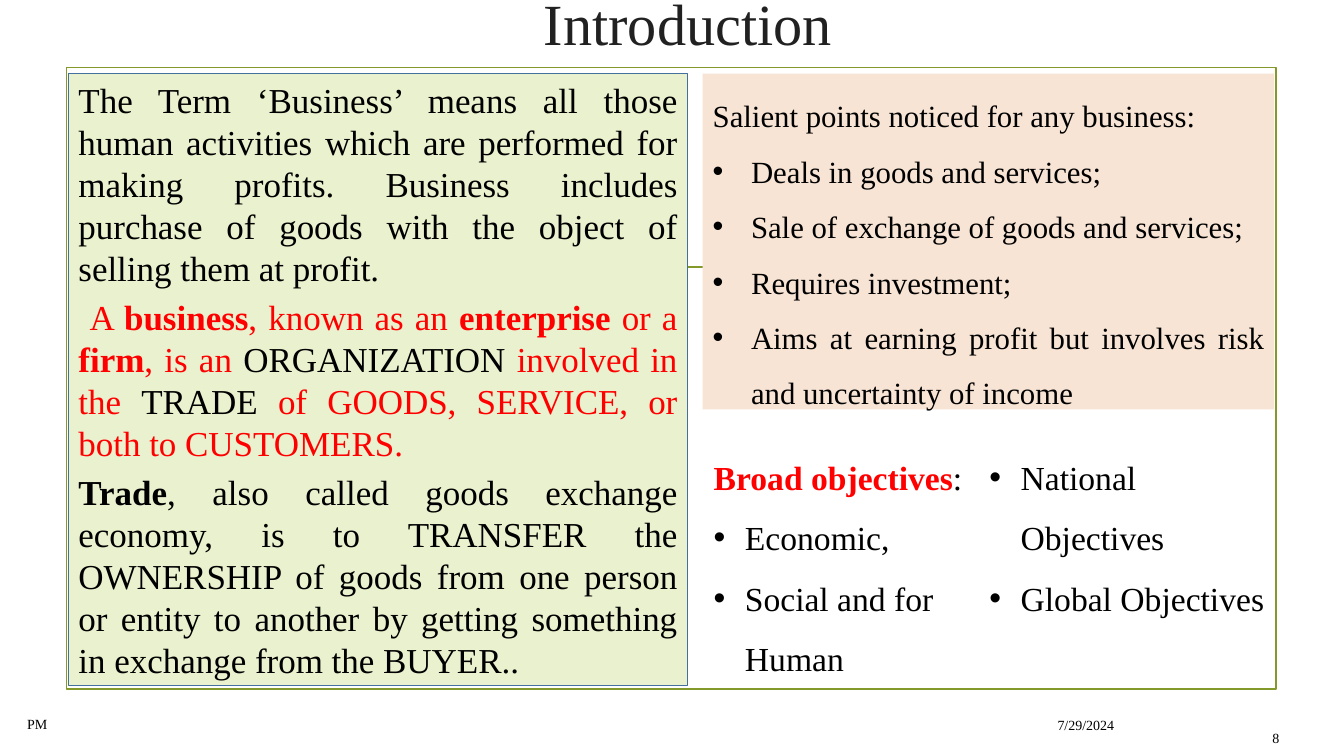
from dataclasses import dataclass

from lxml import etree
from pptx import Presentation
from pptx.dml.color import RGBColor
from pptx.enum.shapes import MSO_CONNECTOR, MSO_SHAPE
from pptx.enum.text import MSO_ANCHOR, MSO_AUTO_SIZE, PP_ALIGN
from pptx.oxml.ns import qn
from pptx.util import Emu, Inches, Pt

RECTANGLE = MSO_SHAPE.RECTANGLE
STRAIGHT = MSO_CONNECTOR.STRAIGHT
LEFT, CENTER, RIGHT, JUSTIFY = PP_ALIGN.LEFT, PP_ALIGN.CENTER, PP_ALIGN.RIGHT, PP_ALIGN.JUSTIFY
TOP, MIDDLE = MSO_ANCHOR.TOP, MSO_ANCHOR.MIDDLE
FIT_SHAPE, NO_FIT = MSO_AUTO_SIZE.SHAPE_TO_FIT_TEXT, MSO_AUTO_SIZE.NONE
WIDTH, HEIGHT = Inches(13.33), Inches(7.5)
TWO_CONTENT_LAYOUT = 3


@dataclass(frozen=True)
class Theme:
    font: str = "Times New Roman"
    black: str = "000000"
    red: str = "FF0000"
    title: str = "212121"
    white: str = "FFFFFF"
    olive: str = "83992A"
    blue: str = "44709D"
    green_panel: str = "EAF1CE"
    peach_panel: str = "F7E4D4"
    title_size: float = 41.6
    definition_size: float = 25
    points_size: float = 22
    objectives_size: float = 24
    footer_size: float = 10


THEME = Theme()


@dataclass(frozen=True)
class Place:
    """Position and size in percent of the slide."""
    left: float
    top: float
    width: float
    height: float

    def box(self) -> tuple[Emu, Emu, Emu, Emu]:
        return (across(self.left), down(self.top), across(self.width), down(self.height))


@dataclass(frozen=True)
class Piece:
    text: str
    color: str = THEME.black
    bold: bool = False


@dataclass(frozen=True)
class BulletList:
    place: Place
    heading: list[Piece]
    items: list[str]
    size: float
    indent: float
    align: PP_ALIGN
    columns: int = 1
    fill: str | None = None


@dataclass(frozen=True)
class FooterItem:
    text: str
    place: Place
    align: PP_ALIGN


def across(percent: float) -> Emu:
    return Emu(round(WIDTH * percent / 100))


def down(percent: float) -> Emu:
    return Emu(round(HEIGHT * percent / 100))


def rgb(color: str) -> RGBColor:
    return RGBColor.from_string(color)


def move(shape, place: Place) -> None:
    shape.left, shape.top, shape.width, shape.height = place.box()


def paint(shape, color: str) -> None:
    shape.fill.solid()
    shape.fill.fore_color.rgb = rgb(color)


def outline(shape, color: str, width: float) -> None:
    shape.line.color.rgb = rgb(color)
    shape.line.width = Pt(width)


def write(paragraph, pieces: list[Piece], size: float, align: PP_ALIGN) -> None:
    paragraph.alignment = align
    for piece in pieces:
        run = paragraph.add_run()
        run.text = piece.text
        run.font.name = THEME.font
        run.font.size = Pt(size)
        run.font.bold = piece.bold
        run.font.color.rgb = rgb(piece.color)


def set_bullet(paragraph, indent: float) -> None:
    """Give a hanging bullet, or none when the indent is zero."""
    properties = paragraph._p.get_or_add_pPr()
    properties.set("marL", str(Inches(indent)))
    properties.set("indent", str(-Inches(indent)))
    if indent:
        etree.SubElement(properties, qn("a:buFont"), typeface="Arial")
        etree.SubElement(properties, qn("a:buChar"), char="•")
    else:
        etree.SubElement(properties, qn("a:buNone"))


def add_paragraphs(text_frame, count: int) -> list:
    return [text_frame.paragraphs[0]] + [text_frame.add_paragraph() for _ in range(count - 1)]


def draw_frame(slide) -> None:
    frame = slide.shapes.add_shape(RECTANGLE, *Place(4.95, 8.93, 90, 82.27).box())
    frame.shadow.inherit = False
    frame.fill.background()
    outline(frame, THEME.olive, 1.25)
    rule = slide.shapes.add_connector(
        STRAIGHT, across(11.48), down(35.33), across(88.58), down(35.33))
    outline(rule, THEME.olive, 1.25)
    etree.SubElement(rule.element.spPr, qn("a:effectLst"))
    # Both stay behind the placeholders
    for shape in (rule, frame):
        slide.shapes.element.insert(2, shape.element)


def fill_title(title, text: str) -> None:
    move(title, Place(30.6, -0.53, 41.18, 9.07))
    paint(title, THEME.white)
    title.text_frame.vertical_anchor = TOP
    title.text_frame.auto_size = NO_FIT
    paragraph = title.text_frame.paragraphs[0]
    paragraph.line_spacing = 0.8
    write(paragraph, [Piece(text, THEME.title)], THEME.title_size, CENTER)


def draw_definitions(slide, texts: list[list[Piece]]) -> None:
    panel = slide.shapes.add_shape(RECTANGLE, *Place(5.1, 9.73, 46.05, 80.93).box())
    panel.shadow.inherit = False
    paint(panel, THEME.green_panel)
    outline(panel, THEME.blue, 0.75)
    panel.text_frame.word_wrap = True
    panel.text_frame.vertical_anchor = TOP
    for number, paragraph in enumerate(add_paragraphs(panel.text_frame, len(texts))):
        paragraph.space_before = Pt(5 if number else 0)
        write(paragraph, texts[number], THEME.definition_size, JUSTIFY)


def fill_list(placeholder, content: BulletList) -> None:
    move(placeholder, content.place)
    if content.fill:
        paint(placeholder, content.fill)
    text_frame = placeholder.text_frame
    text_frame.word_wrap = True
    text_frame.auto_size = FIT_SHAPE
    if content.columns > 1:
        text_frame._txBody.bodyPr.set("numCol", str(content.columns))
    lines = [content.heading] + [[Piece(item)] for item in content.items]
    for number, paragraph in enumerate(add_paragraphs(text_frame, len(lines))):
        set_bullet(paragraph, content.indent if number else 0)
        paragraph.line_spacing = 1.5
        paragraph.space_before = Pt(0)
        write(paragraph, lines[number], content.size, content.align)


def draw_footer_item(slide, item: FooterItem) -> None:
    text_frame = slide.shapes.add_textbox(*item.place.box()).text_frame
    text_frame.word_wrap = True
    text_frame.vertical_anchor = MIDDLE
    write(text_frame.paragraphs[0], [Piece(item.text)], THEME.footer_size, item.align)


RED = THEME.red
DEFINITIONS = [
    [Piece("The Term ‘Business’ means all those human activities which are performed for making "
           "profits. Business includes purchase of goods with the object of selling them at profit.")],
    [Piece(" "), Piece("A ", RED), Piece("business", RED, True), Piece(", known as an ", RED),
     Piece("enterprise", RED, True), Piece(" or a ", RED), Piece("firm", RED, True),
     Piece(", is an", RED), Piece(" ORGANIZATION"), Piece(" involved in the ", RED),
     Piece("TRADE"), Piece(" of GOODS, SERVICE, or both to CUSTOMERS.", RED)],
    [Piece("Trade", bold=True),
     Piece(", also called goods exchange economy, is to TRANSFER the OWNERSHIP of goods from one "
           "person or entity to another by getting something in exchange from the BUYER..")],
]
SALIENT_POINTS = BulletList(
    Place(52.28, 9.73, 42.53, 45.73), [Piece("Salient points noticed for any business:")],
    ["Deals in goods and services;", "Sale of exchange of goods and services;",
     "Requires investment;", "Aims at earning profit but involves risk and uncertainty of income"],
    THEME.points_size, 0.38, JUSTIFY, fill=THEME.peach_panel)
OBJECTIVES = BulletList(
    Place(52.35, 57.07, 42.53, 33.6), [Piece("Broad objectives", RED, True), Piece(":")],
    ["Economic,", "Social and for Human", "National Objectives", "Global Objectives"],
    THEME.objectives_size, 0.31, LEFT, columns=2)
FOOTER = [
    FooterItem("7/29/2024", Place(70.5, 93.87, 13.13, 4.13), RIGHT),
    FooterItem("PM", Place(1.28, 93.73, 59.93, 4.13), LEFT),
    FooterItem("8", Place(91.5, 95.6, 4.43, 4.13), RIGHT),
]


def main() -> None:
    presentation = Presentation()
    presentation.slide_width, presentation.slide_height = WIDTH, HEIGHT
    slide = presentation.slides.add_slide(presentation.slide_layouts[TWO_CONTENT_LAYOUT])
    title, points, objectives = slide.placeholders
    draw_frame(slide)
    fill_title(title, "Introduction")
    draw_definitions(slide, DEFINITIONS)
    fill_list(points, SALIENT_POINTS)
    fill_list(objectives, OBJECTIVES)
    for item in FOOTER:
        draw_footer_item(slide, item)
    presentation.save("out.pptx")


if __name__ == "__main__":
    main()
